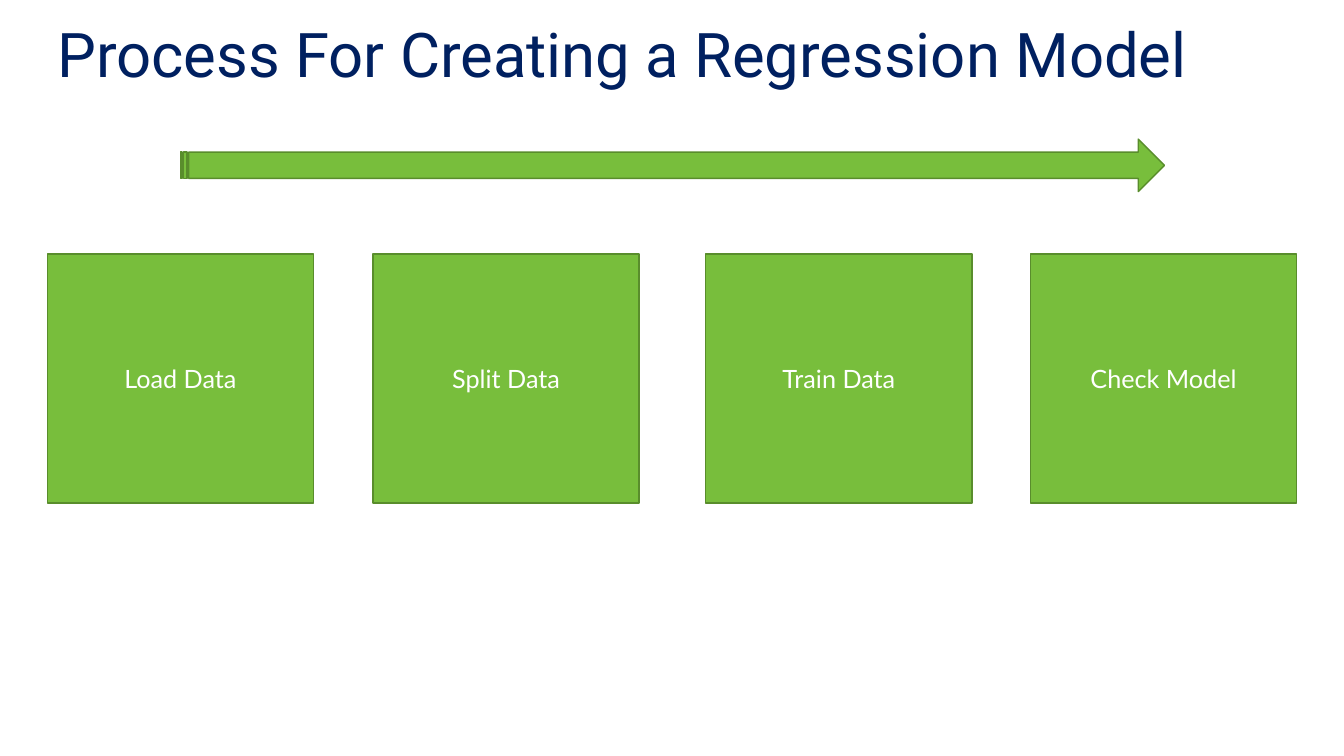
from pptx import Presentation
from pptx.dml.color import RGBColor
from pptx.enum.shapes import MSO_SHAPE
from pptx.enum.text import MSO_ANCHOR, MSO_AUTO_SIZE, PP_ALIGN
from pptx.util import Inches, Pt

RECTANGLE = MSO_SHAPE.RECTANGLE
STRIPED_ARROW = MSO_SHAPE.STRIPED_RIGHT_ARROW
MIDDLE = MSO_ANCHOR.MIDDLE
NO_AUTOFIT = MSO_AUTO_SIZE.NONE
LEFT, CENTER = PP_ALIGN.LEFT, PP_ALIGN.CENTER

COLORS = {"title": "002060", "fill": "78BE3C", "outline": "598D2C", "label": "FFFFFF"}
TITLE_FONT = {"name": "Roboto", "size": Pt(44), "bold": False}
LABEL_FONT = {"name": "Lato", "size": Pt(18)}

STEPS = {"Load Data": 0.47, "Split Data": 3.7, "Train Data": 7, "Check Model": 10.22}
STEP_TOP, STEP_WIDTH, STEP_HEIGHT = 2.52, 2.64, 2.47


def set_text(shape, text, font_format, color, alignment):
    frame = shape.text_frame
    frame.text = text
    frame.word_wrap = True
    frame.auto_size = NO_AUTOFIT
    frame.vertical_anchor = MIDDLE
    paragraph = frame.paragraphs[0]
    paragraph.alignment = alignment
    font = paragraph.runs[0].font
    for attribute, value in font_format.items():
        setattr(font, attribute, value)
    font.color.rgb = RGBColor.from_string(COLORS[color])
    return paragraph


def add_green_shape(kind, left, top, width, height):
    shape = slide.shapes.add_shape(
        kind, Inches(left), Inches(top), Inches(width), Inches(height))
    shape.shadow.inherit = False
    shape.fill.solid()
    shape.fill.fore_color.rgb = RGBColor.from_string(COLORS["fill"])
    shape.line.color.rgb = RGBColor.from_string(COLORS["outline"])
    shape.line.width = Pt(1)
    return shape


presentation = Presentation()
presentation.slide_width = Inches(13.33)
presentation.slide_height = Inches(7.5)
slide = presentation.slides.add_slide(presentation.slide_layouts[5])

title = slide.shapes.title
title.left, title.top = Inches(0.47), Inches(0.29)
title.width, title.height = Inches(12.5), Inches(0.56)
heading = set_text(title, "Process For Creating a Regression Model", TITLE_FONT, "title", LEFT)
heading.line_spacing = 0.9

for label, left in STEPS.items():
    step = add_green_shape(RECTANGLE, left, STEP_TOP, STEP_WIDTH, STEP_HEIGHT)
    set_text(step, label, LABEL_FONT, "label", CENTER)

add_green_shape(STRIPED_ARROW, 1.79, 1.38, 9.76, 0.52)

presentation.save("out.pptx")
